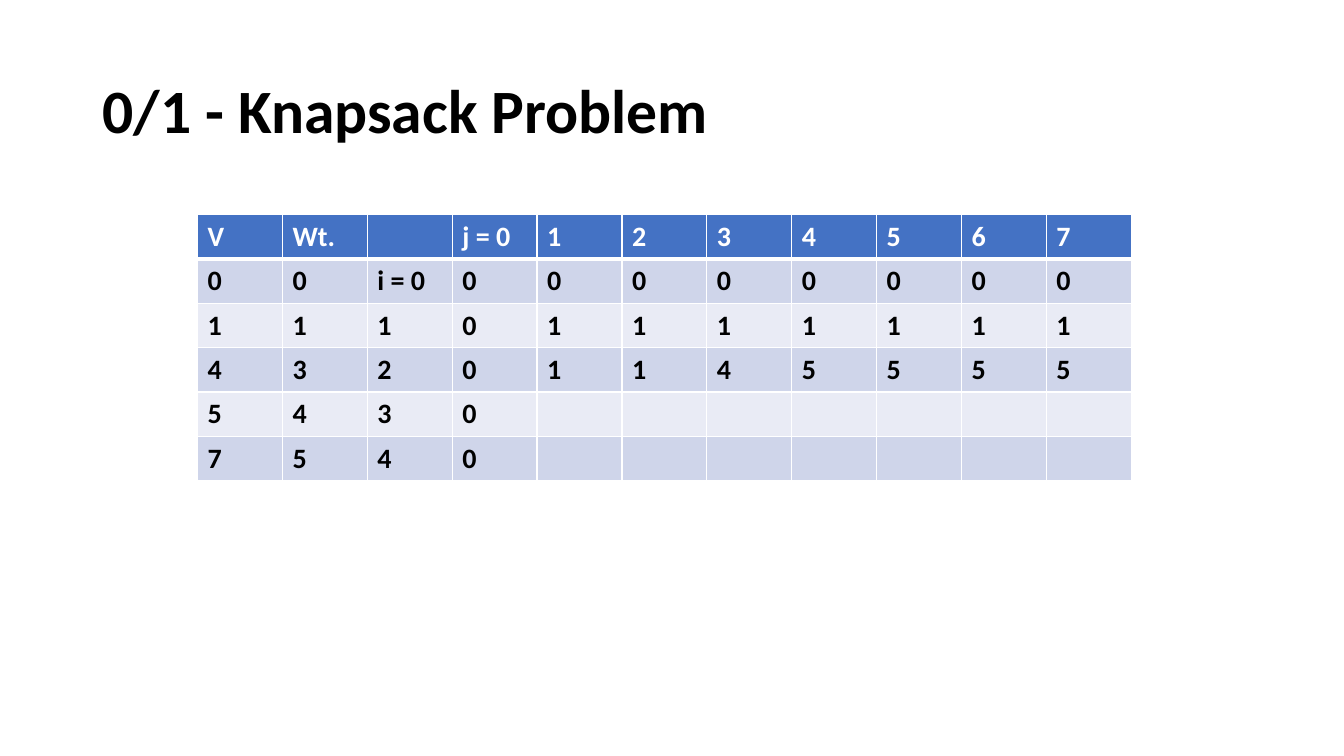
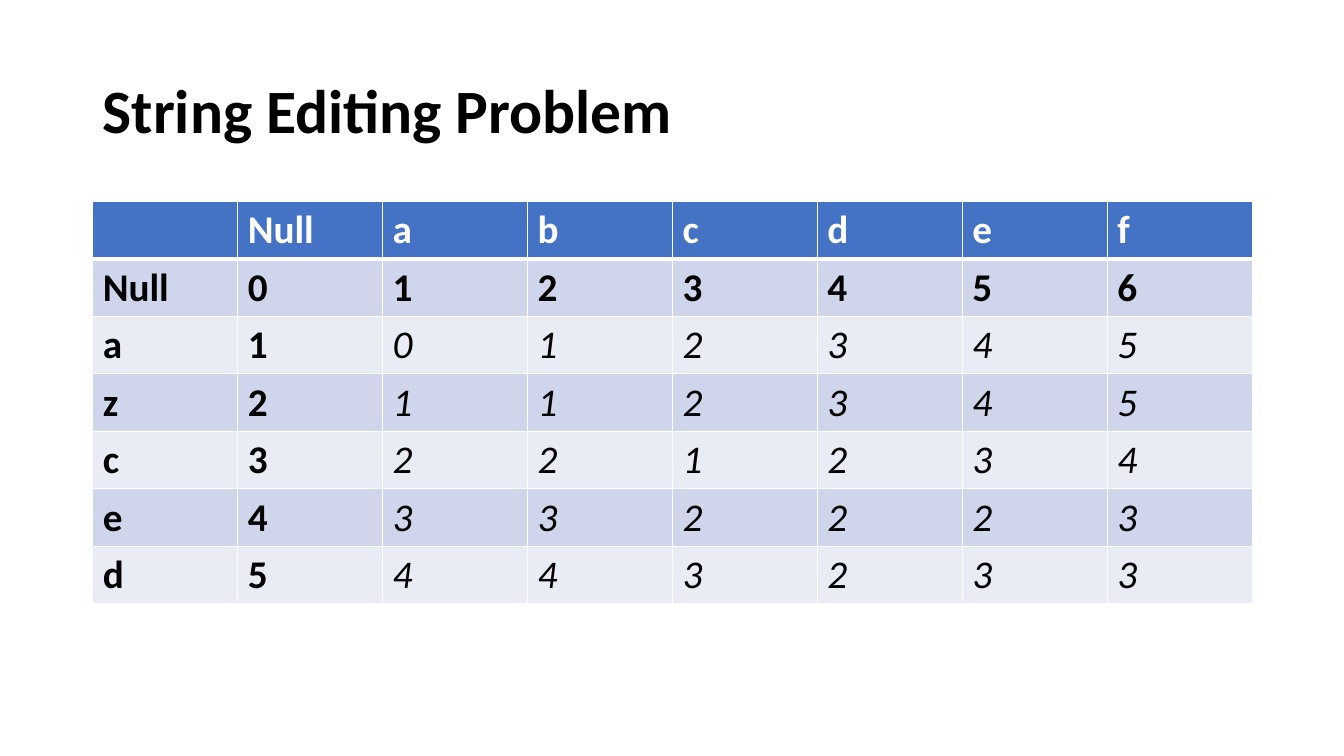
from pptx import Presentation
from pptx.dml.color import RGBColor
from pptx.enum.text import MSO_ANCHOR
from pptx.oxml import parse_xml
from pptx.oxml.ns import nsdecls
from pptx.util import Inches, Pt

FONT = "Calibri"
COLORS = {"text": "000000", "white": "FFFFFF", "header": "4472C4",
          "band_dark": "CFD5EA", "band_light": "E9EBF5"}

# Content: italic_from is the (row, column) where italic results begin
SLIDES = [
    {
        "title": "0/1 - Knapsack Problem",
        "left": 1.96, "top": 2.13, "width": 9.26, "row_height": 0.44,
        "size": 20, "italic_from": None,
        "rows": [
            ["V", "Wt.", "", "j = 0", "1", "2", "3", "4", "5", "6", "7"],
            ["0", "0", "i = 0", "0", "0", "0", "0", "0", "0", "0", "0"],
            ["1", "1", "1", "0", "1", "1", "1", "1", "1", "1", "1"],
            ["4", "3", "2", "0", "1", "1", "4", "5", "5", "5", "5"],
            ["5", "4", "3", "0"] + [""] * 7,
            ["7", "5", "4", "0"] + [""] * 7,
        ],
    },
    {
        "title": "String Editing Problem",
        "left": 0.92, "top": 2, "width": 11.5, "row_height": 0.57,
        "size": 28, "italic_from": (2, 2),
        "rows": [
            ["", "Null", "a", "b", "c", "d", "e", "f"],
            ["Null", "0", "1", "2", "3", "4", "5", "6"],
            ["a", "1", "0", "1", "2", "3", "4", "5"],
            ["z", "2", "1", "1", "2", "3", "4", "5"],
            ["c", "3", "2", "2", "1", "2", "3", "4"],
            ["e", "4", "3", "3", "2", "2", "2", "3"],
            ["d", "5", "4", "4", "3", "2", "3", "3"],
        ],
    },
]


def rgb(name):
    return RGBColor.from_string(COLORS[name])


def style_run(r, size, color, bold=True, italic=False):
    r.font.name = FONT
    r.font.size = Pt(size)
    r.font.bold = bold
    r.font.italic = italic
    r.font.color.rgb = rgb(color)


def add_title(s, text):
    tf = s.shapes.add_textbox(Inches(0.92), Inches(0.4),
                              Inches(11.5), Inches(1.45)).text_frame
    tf.word_wrap = True
    tf.vertical_anchor = MSO_ANCHOR.MIDDLE
    p = tf.paragraphs[0]
    p.text = text
    p.line_spacing = 0.9
    style_run(p.runs[0], 44, "text")


def set_borders(cell, row):
    # The rule between the header and the body is thicker
    widths = {"L": 1, "R": 1, "T": 3 if row == 1 else 1, "B": 3 if row == 0 else 1}
    tcPr = cell._tc.get_or_add_tcPr()
    for side, width in widths.items():
        tcPr.append(parse_xml(
            f'<a:ln{side} {nsdecls("a")} w="{Pt(width)}"><a:solidFill>'
            f'<a:srgbClr val="{COLORS["white"]}"/></a:solidFill></a:ln{side}>'))


def add_grid(s, data):
    rows = data["rows"]
    n_rows, n_cols = len(rows), len(rows[0])
    table = s.shapes.add_table(
        n_rows, n_cols, Inches(data["left"]), Inches(data["top"]),
        Inches(data["width"]), Inches(data["row_height"] * n_rows)).table
    for column in table.columns:
        column.width = Inches(data["width"] / n_cols)
    for i, values in enumerate(rows):
        table.rows[i].height = Inches(data["row_height"])
        band = "header" if i == 0 else "band_dark" if i % 2 else "band_light"
        for j, value in enumerate(values):
            cell = table.cell(i, j)
            set_borders(cell, i)
            cell.fill.solid()
            cell.fill.fore_color.rgb = rgb(band)
            if value:
                cell.text_frame.text = value
                start = data["italic_from"]
                italic = start is not None and i >= start[0] and j >= start[1]
                style_run(cell.text_frame.paragraphs[0].runs[0], data["size"],
                          "text" if i else "white", not italic, italic)


def main():
    prs = Presentation()
    prs.slide_width, prs.slide_height = Inches(13.33), Inches(7.5)
    for data in SLIDES:
        s = prs.slides.add_slide(prs.slide_layouts[6])
        add_title(s, data["title"])
        add_grid(s, data)
    prs.save("out.pptx")


if __name__ == "__main__":
    main()
